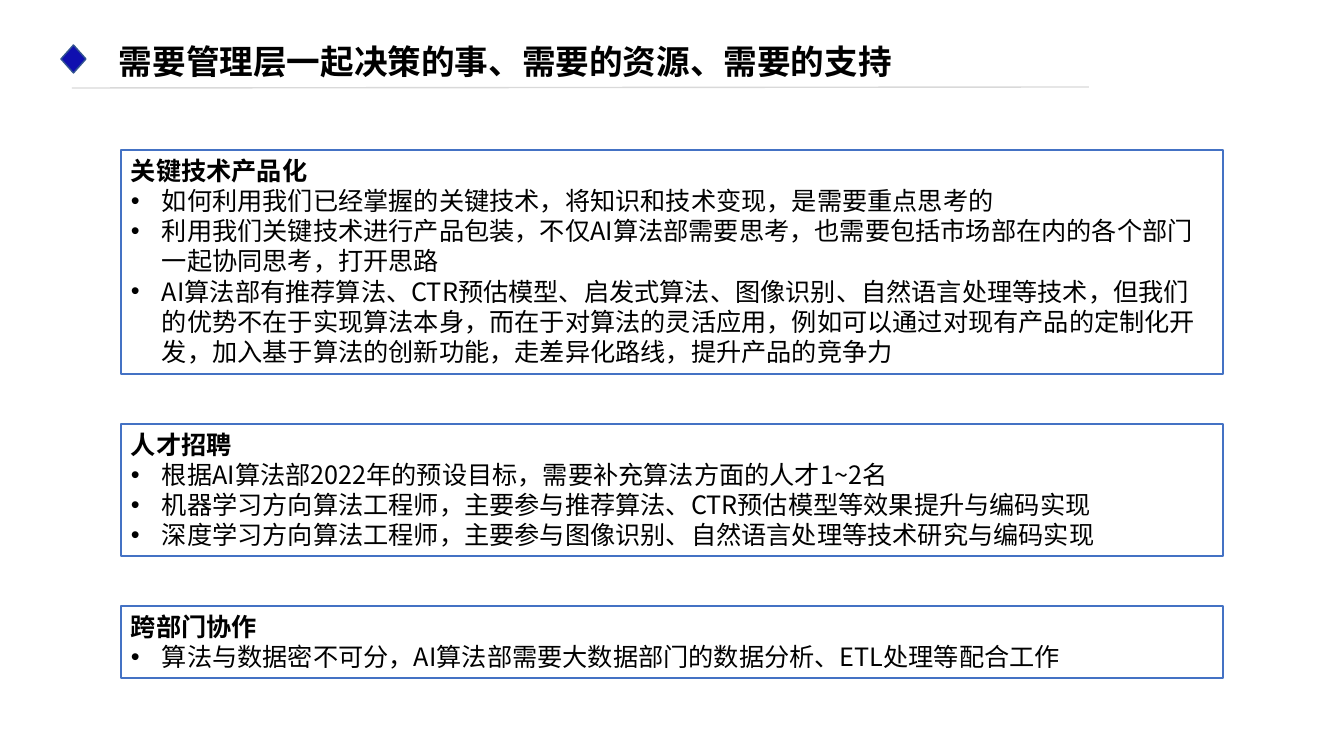
from dataclasses import dataclass

from lxml.etree import SubElement
from pptx import Presentation
from pptx.dml.color import RGBColor
from pptx.enum.shapes import MSO_CONNECTOR, MSO_SHAPE
from pptx.enum.text import MSO_ANCHOR, PP_ALIGN
from pptx.oxml.ns import qn
from pptx.util import Emu, Pt

PIXEL = 914400 / 100.8


@dataclass(frozen=True)
class Theme:
    """Colours, type sizes and line widths of the slide."""
    font: str = "Noto Sans CJK SC"
    text: str = "000000"
    panel_fill: str = "FFFFFF"
    panel_line: str = "4472C4"
    marker_fill: str = "0F0FAF"
    marker_line: str = "325491"
    rule: str = "D9D9D9"
    title_size: int = 24
    body_size: int = 18
    line_spacing: float = 1.2
    thin: float = 1
    thick: float = 1.5


THEME = Theme()
TITLE = "需要管理层一起决策的事、需要的资源、需要的支持"
PANELS = [
    (224, "关键技术产品化", [
        "如何利用我们已经掌握的关键技术，将知识和技术变现，是需要重点思考的",
        "利用我们关键技术进行产品包装，不仅AI算法部需要思考，"
        "也需要包括市场部在内的各个部门一起协同思考，打开思路",
        "AI算法部有推荐算法、CTR预估模型、启发式算法、图像识别、自然语言处理等技术，"
        "但我们的优势不在于实现算法本身，而在于对算法的灵活应用，"
        "例如可以通过对现有产品的定制化开发，加入基于算法的创新功能，"
        "走差异化路线，提升产品的竞争力",
    ]),
    (132, "人才招聘", [
        "根据AI算法部2022年的预设目标，需要补充算法方面的人才1~2名",
        "机器学习方向算法工程师，主要参与推荐算法、CTR预估模型等效果提升与编码实现",
        "深度学习方向算法工程师，主要参与图像识别、自然语言处理等技术研究与编码实现",
    ]),
    (72, "跨部门协作", [
        "算法与数据密不可分，AI算法部需要大数据部门的数据分析、ETL处理等配合工作",
    ]),
]


def px(*lengths):
    """Turn pixel lengths into a list of EMU lengths."""
    return [Emu(round(length * PIXEL)) for length in lengths]


def color(code):
    """Return the colour of a hex code."""
    return RGBColor.from_string(code)


def format_paragraph(paragraph, size, bold=False):
    """Give a paragraph the theme's font, spacing and colour."""
    paragraph.alignment = PP_ALIGN.LEFT
    paragraph.line_spacing = Pt(size * THEME.line_spacing)
    for run in paragraph.runs:
        font = run.font
        font.name, font.size, font.bold = THEME.font, Pt(size), bold
        font.color.rgb = color(THEME.text)
        east_asian = SubElement(font._element, qn("a:ea"))
        east_asian.set("typeface", THEME.font)


def add_bullet(paragraph):
    """Add a round bullet with a hanging indent."""
    properties = paragraph._p.get_or_add_pPr()
    indent = px(31)[0]
    properties.set("marL", str(indent))
    properties.set("indent", str(-indent))
    SubElement(properties, qn("a:buFont")).set("typeface", "Arial")
    SubElement(properties, qn("a:buChar")).set("char", "•")


def add_outlined(slide, kind, box, fill, line, width):
    """Add a filled and outlined preset shape without shadow."""
    shape = slide.shapes.add_shape(kind, *px(*box))
    shape.shadow.inherit = False
    shape.fill.solid()
    shape.fill.fore_color.rgb = color(fill)
    shape.line.color.rgb = color(line)
    shape.line.width = Pt(width)
    return shape


def add_header(slide, box, title):
    """Draw the title with its diamond marker and the rule below."""
    left, top, width, height = box
    text_frame = slide.shapes.add_textbox(
        *px(left + 53, top, 873, height)).text_frame
    text_frame.word_wrap = True
    text_frame.margin_left = text_frame.margin_right = px(5)[0]
    text_frame.margin_top = text_frame.margin_bottom = px(5)[0]
    text_frame.text = title
    format_paragraph(text_frame.paragraphs[0], THEME.title_size, bold=True)

    add_outlined(slide, MSO_SHAPE.DIAMOND, (left, top + 9, 25, 28),
                 THEME.marker_fill, THEME.marker_line, THEME.thin)

    rule_y = top + height + 1
    rule = slide.shapes.add_connector(
        MSO_CONNECTOR.STRAIGHT,
        *px(left + 11, rule_y + 1, left + width, rule_y))
    rule.line.color.rgb = color(THEME.rule)
    rule.line.width = Pt(THEME.thin)
    SubElement(rule._element.spPr, qn("a:effectLst"))


def add_panel(slide, box, heading, points):
    """Draw a framed panel with a bold heading and bullet points."""
    panel = add_outlined(slide, MSO_SHAPE.RECTANGLE, box, THEME.panel_fill,
                         THEME.panel_line, THEME.thick)
    text_frame = panel.text_frame
    text_frame.word_wrap = True
    text_frame.vertical_anchor = MSO_ANCHOR.TOP
    text_frame.text = "\n".join([heading, *points])
    first, *bullets = text_frame.paragraphs
    format_paragraph(first, THEME.body_size, bold=True)
    for paragraph in bullets:
        format_paragraph(paragraph, THEME.body_size)
        add_bullet(paragraph)


def add_panels(slide, box, panels, gap=50):
    """Stack the panels downwards in the box with equal gaps."""
    left, top, width, _ = box
    for height, heading, points in panels:
        add_panel(slide, (left, top, width, height), heading, points)
        top += height + gap


def main():
    """Build the slide and save it."""
    presentation = Presentation()
    presentation.slide_width, presentation.slide_height = px(1344, 756)
    slide = presentation.slides.add_slide(presentation.slide_layouts[6])
    add_header(slide, (61, 36, 1028, 50), TITLE)
    add_panels(slide, (121, 150, 1102, 528), PANELS)
    presentation.save("out.pptx")


main()
